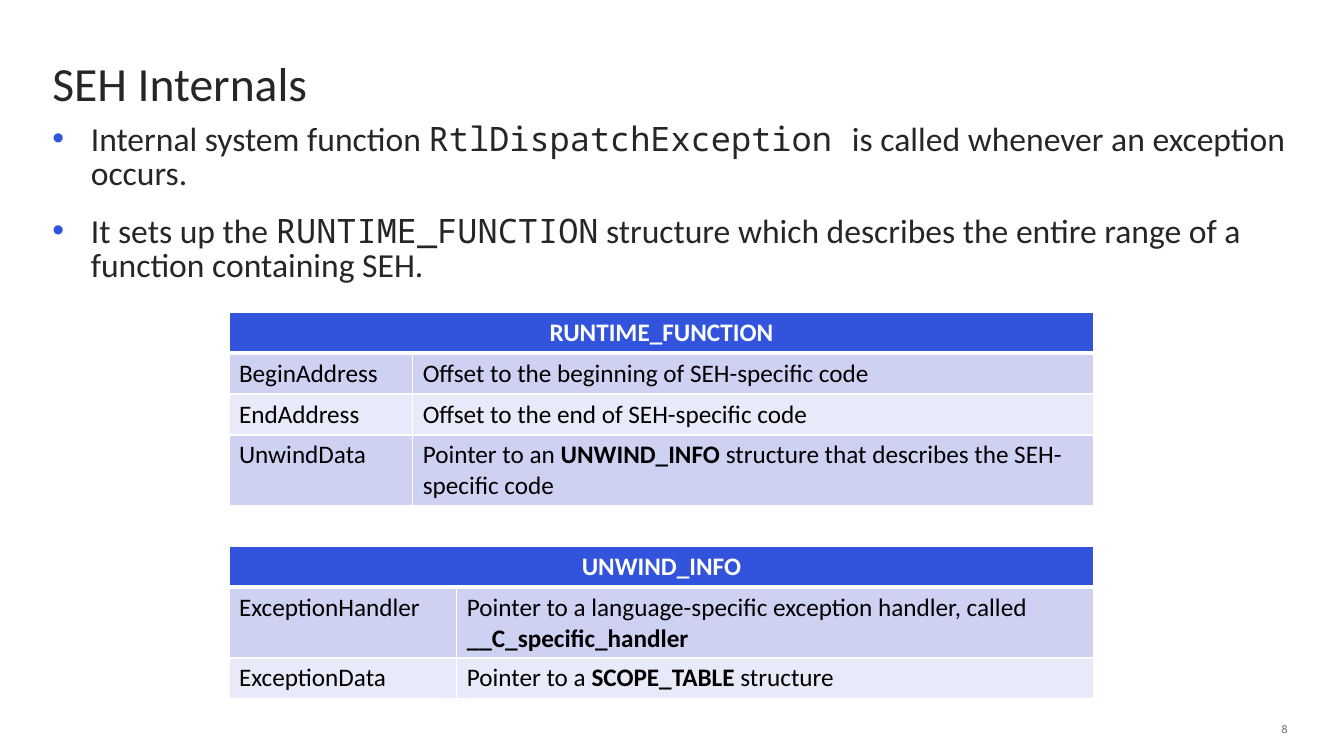
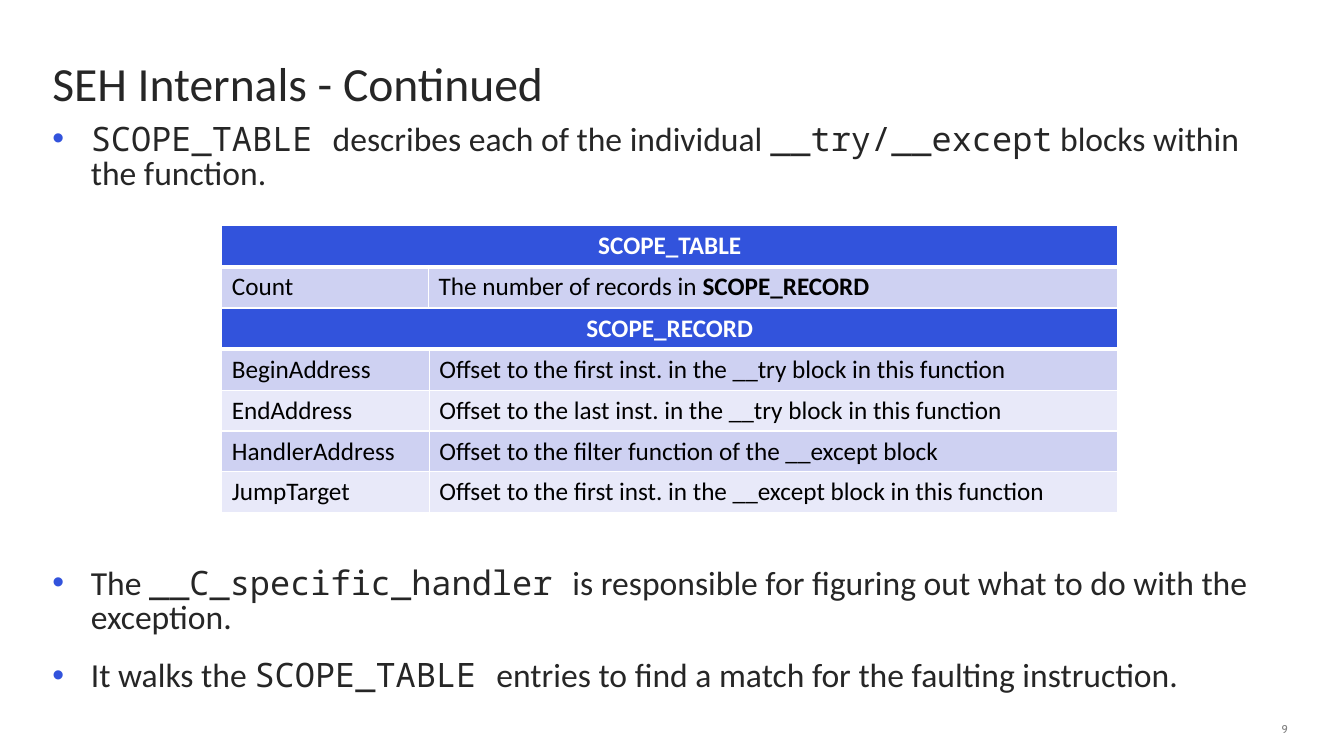
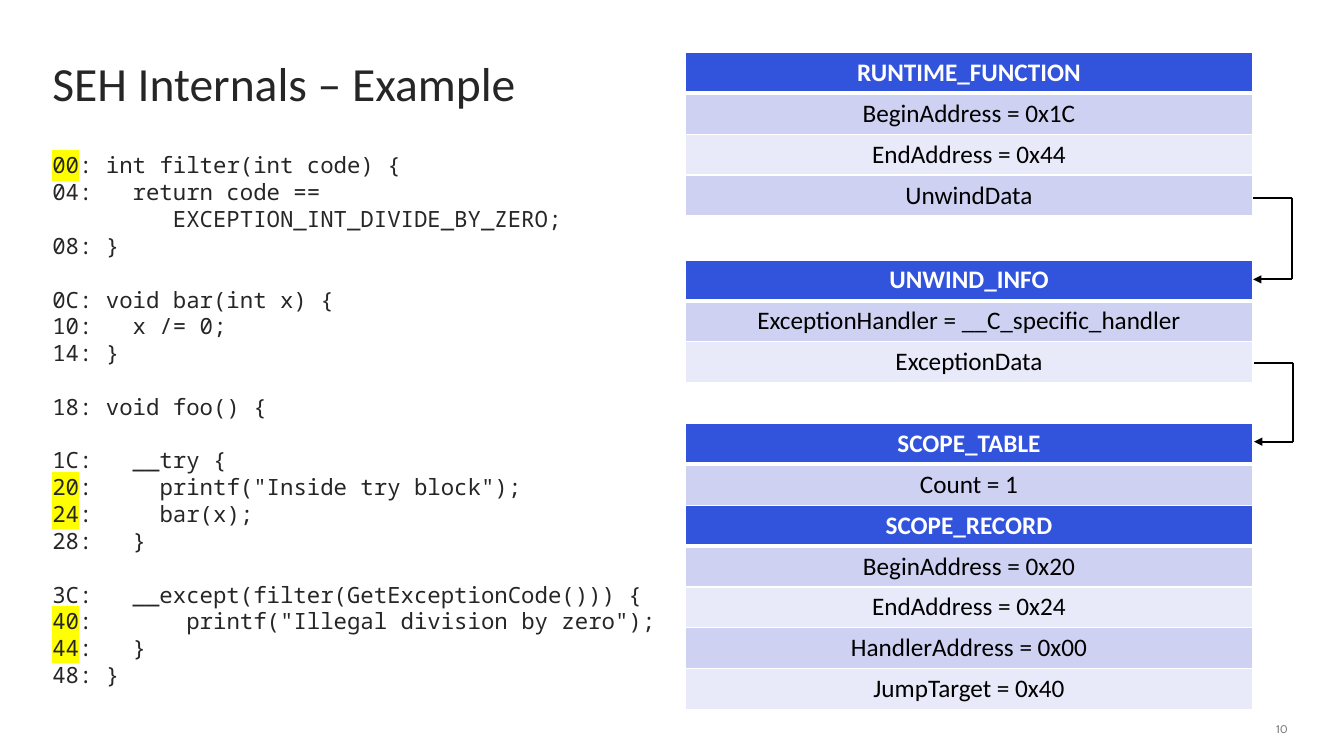
from pptx import Presentation
from pptx import util as u
from pptx.dml.color import RGBColor
from pptx.enum import shapes, text
from pptx.oxml import parse_xml
from pptx.oxml.ns import nsdecls, qn

# Shared style
SANS, MONO, SMALL = "Calibri", "Noto Sans Mono", "Cabin"
BLUE, BAND_DARK, BAND_LIGHT = "3253DC", "CED1F2", "E8E9F9"
INK, GREY, BLACK, WHITE, YELLOW = "262626", "808080", "000000", "FFFFFF", "FFFF00"
LEFT, WIDTH, ROW_H = 1.32, 31.14, 1.03
CODE_PITCH = 19.17
CODE_WIDTH = 15.6

# Content: lengths in cm
# Bullet parts alternate between sans and mono, cell parts between regular and bold
SLIDES = [
    dict(
        number="8", title="SEH Internals",
        bullets=[(3.15, [
            ["Internal system function ", "RtlDispatchException ",
             "is called whenever an exception occurs."],
            ["It sets up the ", "RUNTIME_FUNCTION",
             " structure which describes the entire range of a function containing SEH."],
        ])],
        tables=[
            (5.77, 7.87, (4.63, 17.17), "RUNTIME_FUNCTION", [
                (["BeginAddress"], ["Offset to the beginning of SEH-specific code"]),
                (["EndAddress"], ["Offset to the end of SEH-specific code"]),
                (["UnwindData"], ["Pointer to an ", "UNWIND_INFO ",
                                  "structure that describes the SEH-specific code"]),
            ]),
            (5.77, 13.77, (5.74, 16.06), "UNWIND_INFO", [
                (["ExceptionHandler"],
                 ["Pointer to a language-specific exception handler, called ",
                  "__C_specific_handler"]),
                (["ExceptionData"], ["Pointer to a ", "SCOPE_TABLE ", "structure"]),
            ]),
        ],
    ),
    dict(
        number="9", title="SEH Internals - Continued",
        bullets=[
            (3.15, [["", "SCOPE_TABLE ", "describes each of the individual\u00a0",
                     "__try/__except", "\u00a0blocks within the function."]]),
            (14.34, [
                ["The ", "__C_specific_handler ",
                 "is responsible for figuring out what to do with the exception."],
                ["It walks the ", "SCOPE_TABLE ",
                 "entries to find a match for the faulting instruction."],
            ]),
        ],
        tables=[
            (5.59, 5.69, (5.21, 17.37), "SCOPE_TABLE", [
                (["Count"], ["The number of records in ", "SCOPE_RECORD"]),
            ]),
            (5.59, 7.77, (5.23, 17.35), "SCOPE_RECORD", [
                (["BeginAddress"],
                 ["Offset to the first inst. in the __try block in this function"]),
                (["EndAddress"],
                 ["Offset to the last inst. in the __try block in this function"]),
                (["HandlerAddress"], ["Offset to the filter function of the __except block"]),
                (["JumpTarget"],
                 ["Offset to the first inst. in the __except block in this function"]),
            ]),
        ],
    ),
    dict(
        number="10", title="SEH Internals \u2013 Example",
        code=(3.82, [
            ["00: int filter(int code) {",
             "04:   return code ==",
             "         EXCEPTION_INT_DIVIDE_BY_ZERO;",
             "08: }"],
            ["0C: void bar(int x) {", "10:   x /= 0;", "14: }"],
            ["18: void foo() {"],
            ["1C:   __try {",
             '20:     printf("Inside try block");',
             "24:     bar(x);",
             "28:   }"],
            ["3C:   __except(filter(GetExceptionCode())) {",
             '40:       printf("Illegal division by zero");',
             "44:   }",
             "48: }"],
        ], ("00", "20", "24", "40", "44")),
        tables=[
            (17.27, 1.32, (14.3,), "RUNTIME_FUNCTION", [
                (["BeginAddress = 0x1C"],), (["EndAddress = 0x44"],), (["UnwindData"],)]),
            (17.27, 6.55, (14.3,), "UNWIND_INFO", [
                (["ExceptionHandler = __C_specific_handler"],), (["ExceptionData"],)]),
            (17.27, 10.67, (14.3,), "SCOPE_TABLE", [(["Count = 1"],)]),
            (17.27, 12.73, (14.3,), "SCOPE_RECORD", [
                (["BeginAddress = 0x20"],), (["EndAddress = 0x24"],),
                (["HandlerAddress = 0x00"],), (["JumpTarget = 0x40"],)]),
        ],
        # x at the table edge, y of the pointer, y of the structure it points to
        pointers=[(31.58, 4.98, 7.04), (31.6, 9.14, 11.13)],
    ),
]
POINTER_REACH = 0.99


def rgb(value):
    return RGBColor.from_string(value)


def add_run(p, words, size, font, color, bold=False, highlight=None):
    r = p.add_run()
    r.text = words
    r.font.size, r.font.name, r.font.bold = u.Pt(size), font, bold
    r.font.color.rgb = rgb(color)
    if highlight:
        r.font._element.find(qn("a:latin")).addprevious(parse_xml(
            f'<a:highlight {nsdecls("a")}><a:srgbClr val="{highlight}"/></a:highlight>'))


def add_box(s, x, y, w, h, anchor=text.MSO_ANCHOR.TOP):
    tf = s.shapes.add_textbox(*map(u.Cm, (x, y, w, h))).text_frame
    tf.margin_left = tf.margin_right = tf.margin_top = tf.margin_bottom = 0
    tf.word_wrap, tf.vertical_anchor = True, anchor
    return tf


def next_paragraph(tf, first):
    return tf.paragraphs[0] if first else tf.add_paragraph()


def add_frame(s, title, number):
    p = add_box(s, LEFT, 1.6, WIDTH, 1.19, text.MSO_ANCHOR.BOTTOM).paragraphs[0]
    p.line_spacing = 0.82
    add_run(p, title, 34, SANS, INK)
    p = add_box(s, 30.48, 18.14, 1.98, 0.38, text.MSO_ANCHOR.MIDDLE).paragraphs[0]
    p.alignment, p.line_spacing = text.PP_ALIGN.RIGHT, 1.25
    add_run(p, number, 8, SMALL, GREY)


def add_bullets(s, top, items):
    tf = add_box(s, LEFT, top, WIDTH, 1.19)
    for i, parts in enumerate(items):
        p = next_paragraph(tf, i == 0)
        p.line_spacing = 0.83
        p.space_before = u.Pt(18 if i else 0)
        pPr = p._p.get_or_add_pPr()
        pPr.set("marL", str(u.Cm(0.97)))
        pPr.set("indent", str(-u.Cm(0.97)))
        for xml in (f'<a:buClr {nsdecls("a")}><a:srgbClr val="{BLUE}"/></a:buClr>',
                    f'<a:buFont {nsdecls("a")} typeface="Arial"/>',
                    f'<a:buChar {nsdecls("a")} char="\u2022"/>'):
            pPr.append(parse_xml(xml))
        for k, words in enumerate(parts):
            if words:
                add_run(p, words, 24, MONO if k % 2 else SANS, INK)


def add_code(s, top, blocks, marked):
    tf = add_box(s, LEFT, top, CODE_WIDTH, 13.6)
    for b, lines in enumerate(blocks):
        for i, line in enumerate(lines):
            p = next_paragraph(tf, b == i == 0)
            p.line_spacing = u.Pt(CODE_PITCH)
            p.space_before = u.Pt(CODE_PITCH if b and i == 0 else 0)
            address = line[:2]
            if address in marked:
                add_run(p, address, 16, MONO, INK, highlight=YELLOW)
                line = line[2:]
            add_run(p, line, 16, MONO, INK)


def style_cell(cell, fill, top, bottom):
    cell.fill.solid()
    cell.fill.fore_color.rgb = rgb(fill)
    tcPr = cell._tc.get_or_add_tcPr()
    for i, (side, width) in enumerate(zip("LRTB", (1, 1, top, bottom))):
        tcPr.insert(i, parse_xml(
            f'<a:ln{side} {nsdecls("a")} w="{u.Pt(width)}"><a:solidFill>'
            f'<a:srgbClr val="{WHITE}"/></a:solidFill></a:ln{side}>'))


def add_struct(s, x, y, widths, name, fields):
    rows, cols = len(fields) + 1, len(widths)
    table = s.shapes.add_table(
        rows, cols, *map(u.Cm, (x, y, sum(widths), ROW_H * rows))).table
    for column, w in zip(table.columns, widths):
        column.width = u.Cm(w)
    for i, row in enumerate(table.rows):
        row.height = u.Cm(ROW_H)
        fill = BLUE if i == 0 else (BAND_LIGHT, BAND_DARK)[i % 2]
        for cell in row.cells:
            style_cell(cell, fill, 3 if i == 1 else 1, 3 if i == 0 else 1)
    if cols > 1:
        table.cell(0, 0).merge(table.cell(0, cols - 1))
    p = table.cell(0, 0).text_frame.paragraphs[0]
    p.alignment = text.PP_ALIGN.CENTER
    add_run(p, name, 18, SANS, WHITE, bold=True)
    for i, field in enumerate(fields, 1):
        for j, parts in enumerate(field):
            p = table.cell(i, j).text_frame.paragraphs[0]
            p.alignment = text.PP_ALIGN.CENTER if cols == 1 else text.PP_ALIGN.LEFT
            for k, words in enumerate(parts):
                add_run(p, words, 18, SANS, BLACK, bold=k % 2 == 1)


def add_pointer(s, x, y1, y2):
    far = x + POINTER_REACH
    corners = [(x, y1), (far, y1), (far, y2), (x, y2)]
    for start, end in zip(corners, corners[1:]):
        line = s.shapes.add_connector(
            shapes.MSO_CONNECTOR.STRAIGHT, *map(u.Cm, start + end))
        line.line.color.rgb, line.line.width = rgb(BLACK), u.Pt(1.5)
        if end == corners[-1]:
            line.line._get_or_add_ln().append(
                parse_xml(f'<a:tailEnd {nsdecls("a")} type="triangle"/>'))
        line._element.spPr.append(parse_xml(f'<a:effectLst {nsdecls("a")}/>'))


# Build
prs = Presentation()
prs.slide_width, prs.slide_height = u.Cm(33.87), u.Cm(19.05)
for page in SLIDES:
    s = prs.slides.add_slide(prs.slide_layouts[6])
    add_frame(s, page["title"], page["number"])
    for block in page.get("bullets", []):
        add_bullets(s, *block)
    if "code" in page:
        add_code(s, *page["code"])
    for struct in page["tables"]:
        add_struct(s, *struct)
    for pointer in page.get("pointers", []):
        add_pointer(s, *pointer)
prs.save("out.pptx")
